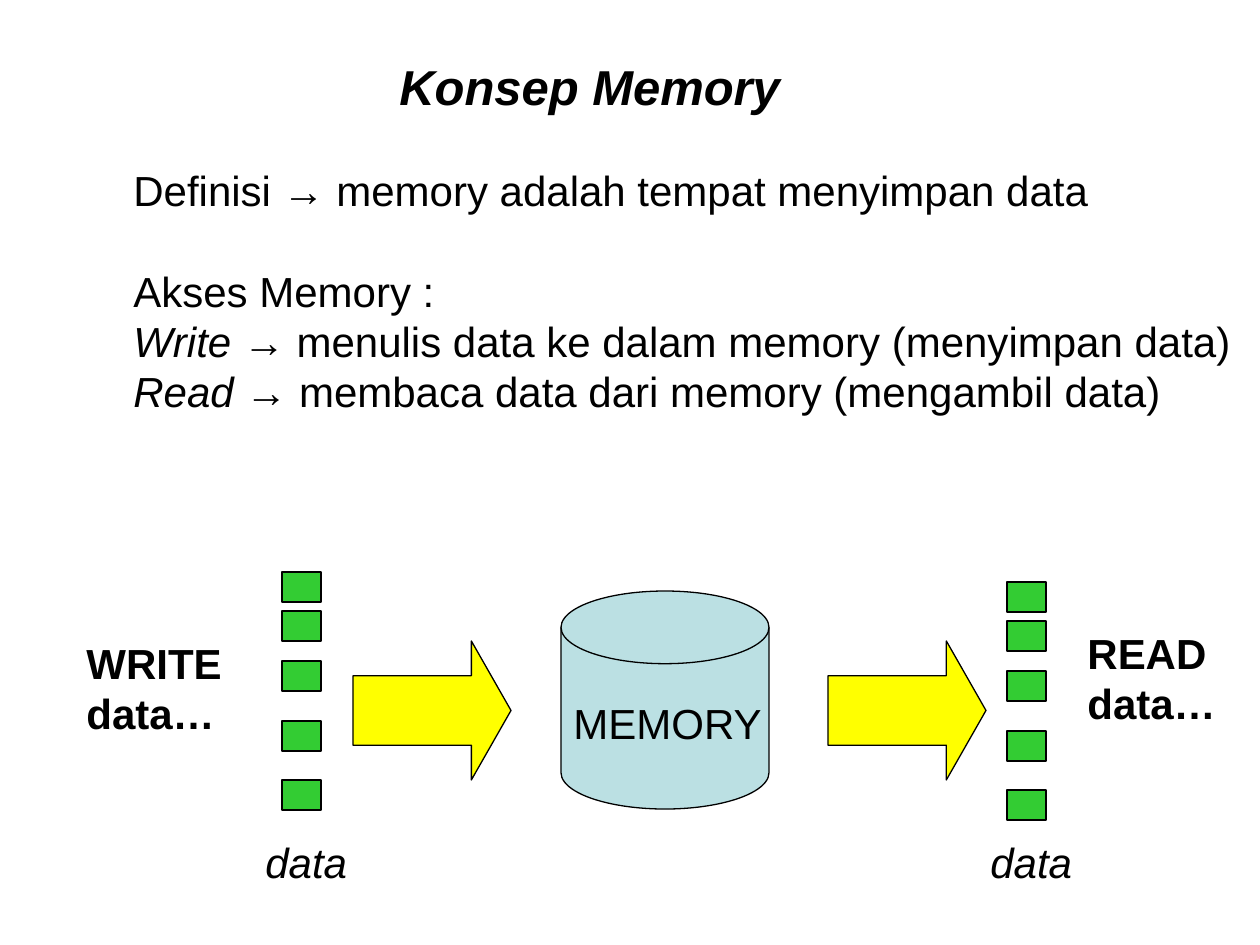
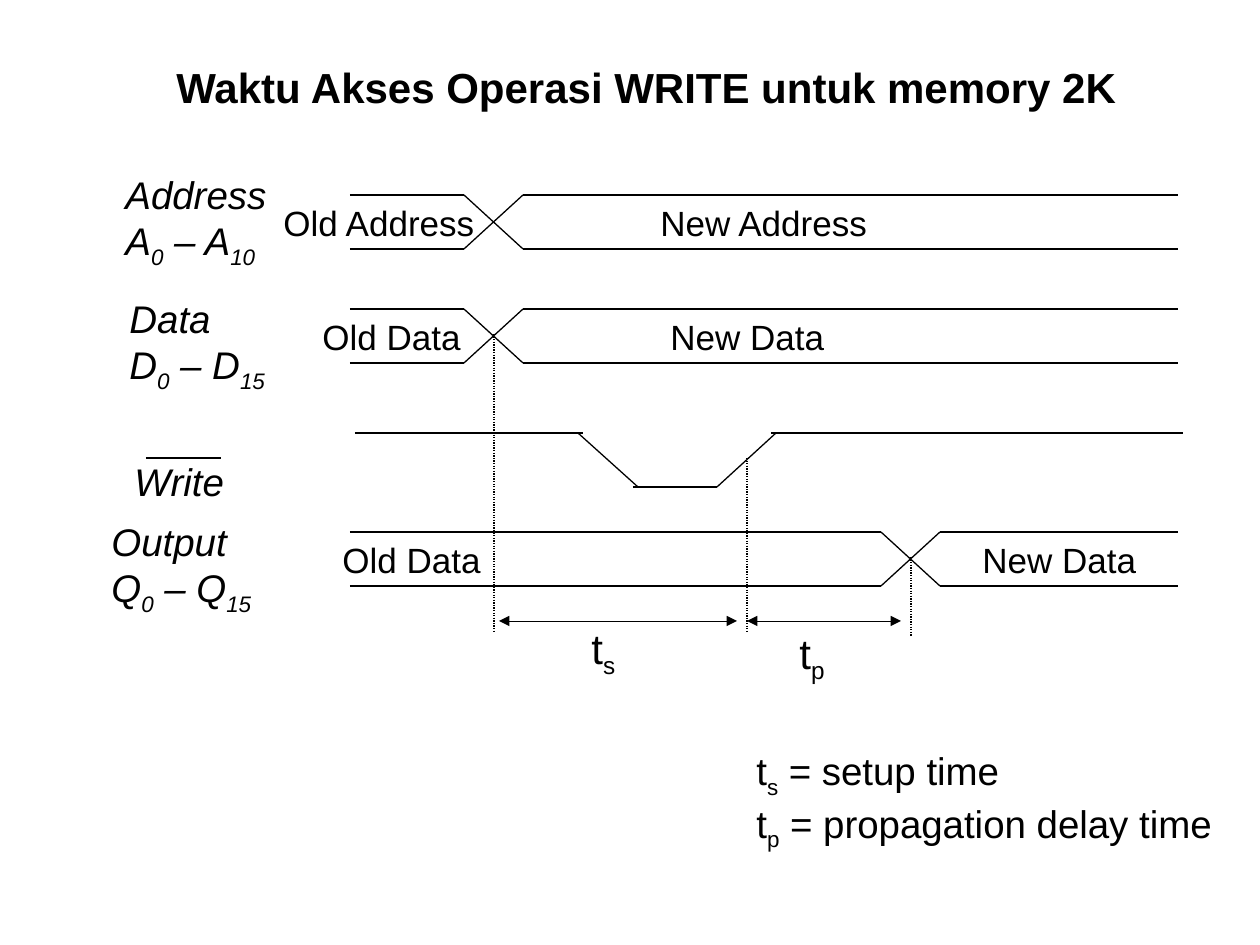
from lxml import etree
from pptx import Presentation
from pptx.dml.color import RGBColor
from pptx.enum.dml import MSO_LINE
from pptx.enum.shapes import MSO_CONNECTOR, MSO_SHAPE
from pptx.oxml.ns import qn
from pptx.util import Emu, Pt

DISK, ARROW, SQUARE = (MSO_SHAPE.FLOWCHART_MAGNETIC_DISK,
                       MSO_SHAPE.RIGHT_ARROW, MSO_SHAPE.RECTANGLE)
STRAIGHT, DOTTED = MSO_CONNECTOR.STRAIGHT, MSO_LINE.ROUND_DOT
FONT = "Arial"
BLACK, BLUE, YELLOW, GREEN = "000000", "BBE0E3", "FFFF00", "33CC33"
SCALE = 914400 / 126  # EMU in one px

# Text: (left, top, width, height), size, lines, style.
# Every second part between bars is italic on the first slide, subscript on the second.
CONCEPT_TEXTS = [
    ((387, 50, 440, 72), 28, ["Konsep Memory"], "bold italic"),
    ((121, 158, 1135, 64), 24, ["Definisi → memory adalah tempat menyimpan data"], ""),
    ((121, 259, 1135, 163), 24,
     ["Akses Memory :",
      "|Write |→ menulis data ke dalam memory (menyimpan data)",
      "|Read |→ membaca data dari memory (mengambil data)"], ""),
    ((561, 691, 220, 63), 24, ["MEMORY"], ""),
    ((74, 631, 170, 113), 24, ["WRITE", "data…"], "bold"),
    ((1075, 621, 170, 113), 24, ["READ", "data…"], "bold"),
    ((253, 830, 115, 63), 24, ["data"], "italic"),
    ((978, 830, 115, 63), 24, ["data"], "italic"),
]
DISK_BOX = (561, 591, 208, 218)
ARROW_LEFTS, ARROW_TOP, ARROW_SIZE = (353, 828), 641, (158, 139)
DATA_STACKS = [(282, 572), (1007, 582)]
DATA_OFFSETS, DATA_SIZE = (0, 39, 89, 149, 208), (39, 30)

TIMING_TEXTS = [
    ((164, 55, 990, 63), 24, ["Waktu Akses Operasi WRITE untuk memory 2K"], "bold"),
    ((113, 165, 181, 112), 22, ["Address", "A|0| – A|10"], "italic"),
    ((117, 289, 181, 112), 22, ["Data", "D|0| – D|15"], "italic"),
    ((122, 452, 130, 60), 22, ["Write"], "italic"),
    ((99, 512, 181, 112), 22, ["Output", "Q|0| – Q|15"], "italic"),
    ((271, 195, 230, 55), 20, ["Old Address"], ""),
    ((648, 195, 245, 55), 20, ["New Address"], ""),
    ((310, 309, 180, 55), 20, ["Old Data"], ""),
    ((658, 309, 190, 55), 20, ["New Data"], ""),
    ((330, 532, 180, 55), 20, ["Old Data"], ""),
    ((970, 532, 190, 55), 20, ["New Data"], ""),
    ((579, 616, 60, 71), 24, ["t|s"], ""),
    ((787, 621, 60, 71), 24, ["t|p"], ""),
    ((744, 741, 505, 118), 22, ["t|s| = setup time", "t|p| = propagation delay time"], ""),
]
BUS_LEFT, BUS_RIGHT, BUS_HEIGHT, CROSS_WIDTH = 350, 1178, 54, 59
BUSES = [(195, 464), (309, 464), (532, 881)]  # top, left of the crossing
WRITE_SIGNAL = [((355, 433), (583, 433)), ((578, 433), (638, 487)),
                ((633, 487), (717, 487)), ((717, 487), (776, 433)),
                ((771, 433), (1183, 433))]
WRITE_OVERBAR = ((146, 458), (221, 458))
TIME_MARKS = [(494, 334, 631), (747, 458, 631), (911, 557, 636)]  # x, top, bottom
TIME_SPANS, SPAN_Y = [(499, 737), (747, 901)], 621


def px(value):
    return Emu(round(value * SCALE))


def color(hex_value):
    return RGBColor.from_string(hex_value)


def add_text(slide, box, size, lines, style, mark):
    frame = slide.shapes.add_textbox(*map(px, box)).text_frame
    frame.word_wrap = True
    for number, line in enumerate(lines):
        paragraph = frame.paragraphs[0] if number == 0 else frame.add_paragraph()
        font = paragraph.font
        font.name, font.size = FONT, Pt(size)
        font.color.rgb = color(BLACK)
        font.bold, font.italic = "bold" in style, "italic" in style
        for index, part in enumerate(line.split("|")):
            if not part:
                continue
            run = paragraph.add_run()
            run.text = part
            if index % 2 and mark == "italic":
                run.font.italic = True
            elif index % 2:
                run.font._element.set("baseline", "-25000")


def add_part(slide, kind, box, fill):
    part = slide.shapes.add_shape(kind, *map(px, box))
    part.shadow.inherit = False
    part.fill.solid()
    part.fill.fore_color.rgb = color(fill)
    part.line.color.rgb = color(BLACK)
    part.line.width = Pt(0.75)
    return part


def add_line(slide, start, end, width=0.75, dash=None, arrows=False):
    connector = slide.shapes.add_connector(STRAIGHT, *map(px, (*start, *end)))
    connector.line.color.rgb = color(BLACK)
    connector.line.width = Pt(width)
    if dash:
        connector.line.dash_style = dash
    properties = connector._element.spPr
    if arrows:
        outline = properties.find(qn("a:ln"))
        for tip in ("a:headEnd", "a:tailEnd"):
            etree.SubElement(outline, qn(tip), type="triangle")
    etree.SubElement(properties, qn("a:effectLst"))


def add_bus(slide, top, cross):
    bottom, after = top + BUS_HEIGHT, cross + CROSS_WIDTH
    for y, opposite in ((top, bottom), (bottom, top)):
        add_line(slide, (BUS_LEFT, y), (cross, y))
        add_line(slide, (cross, y), (after, opposite))
        add_line(slide, (after, y), (BUS_RIGHT, y))


def build_concept(slide):
    add_part(slide, DISK, DISK_BOX, BLUE)
    for left in ARROW_LEFTS:
        arrow = add_part(slide, ARROW, (left, ARROW_TOP, *ARROW_SIZE), YELLOW)
        arrow.adjustments[1] = 0.285
    for left, top in DATA_STACKS:
        for offset in DATA_OFFSETS:
            add_part(slide, SQUARE, (left, top + offset, *DATA_SIZE), GREEN)
    for text in CONCEPT_TEXTS:
        add_text(slide, *text, mark="italic")


def build_timing(slide):
    for top, cross in BUSES:
        add_bus(slide, top, cross)
    for start, end in [*WRITE_SIGNAL, WRITE_OVERBAR]:
        add_line(slide, start, end)
    for x, top, bottom in TIME_MARKS:
        add_line(slide, (x, top), (x, bottom), dash=DOTTED)
    for left, right in TIME_SPANS:
        add_line(slide, (left, SPAN_Y), (right, SPAN_Y), width=0.25, arrows=True)
    for text in TIMING_TEXTS:
        add_text(slide, *text, mark="subscript")


def main():
    deck = Presentation()
    deck.slide_width, deck.slide_height = px(1260), px(945)
    for build in (build_concept, build_timing):
        build(deck.slides.add_slide(deck.slide_layouts[6]))
    deck.save("out.pptx")


if __name__ == "__main__":
    main()
